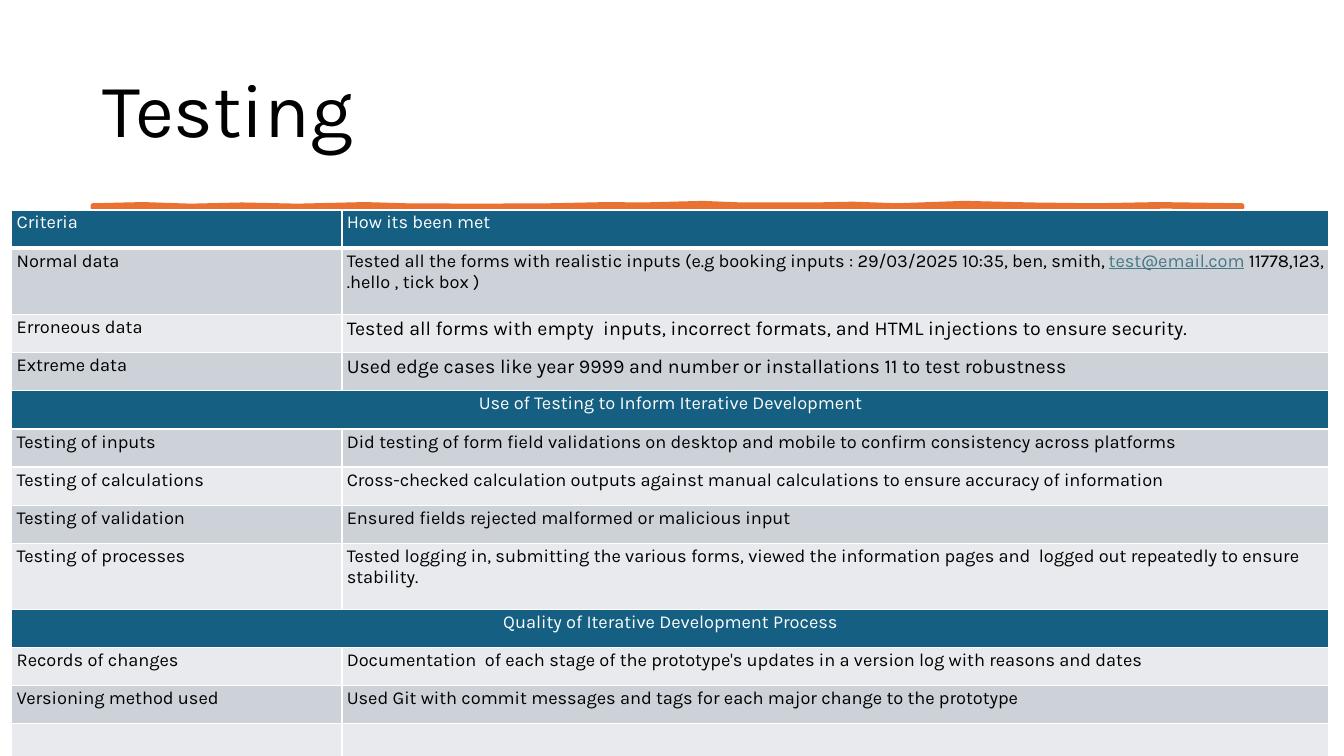
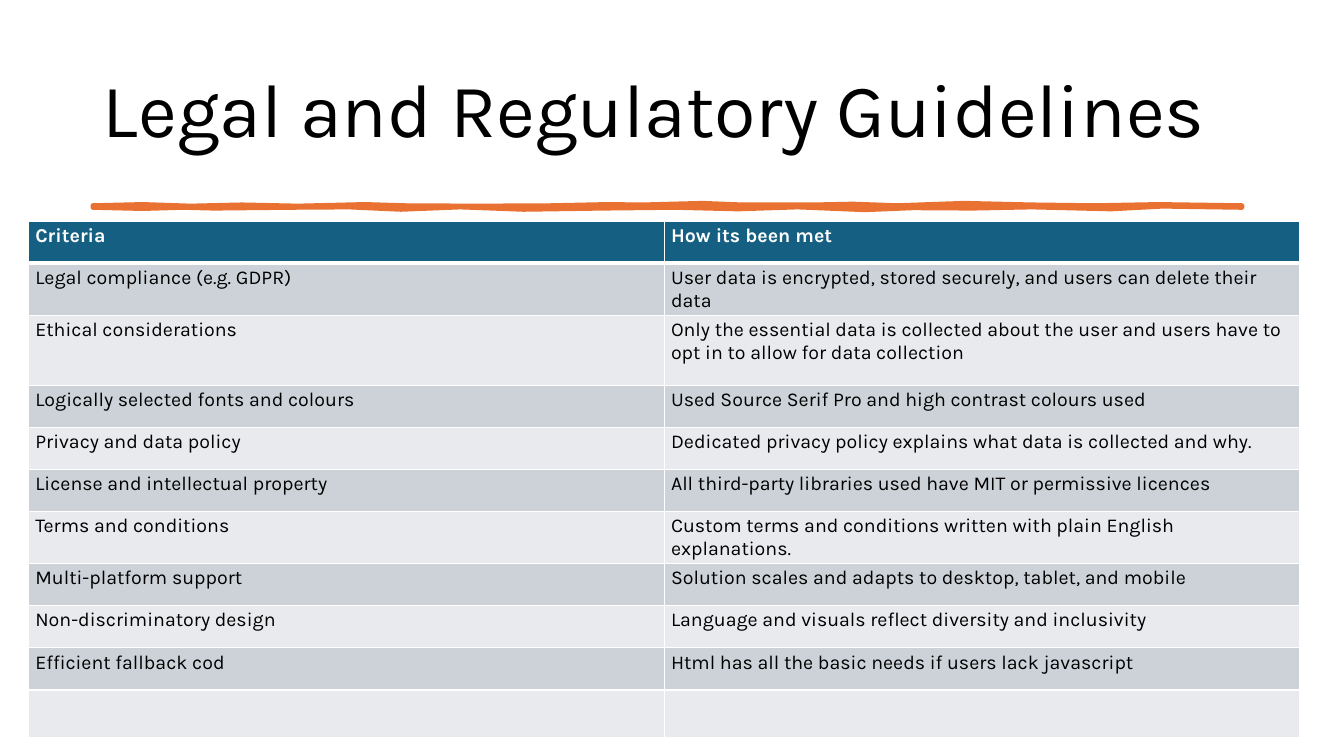
from dataclasses import dataclass

from lxml.etree import SubElement
from pptx import Presentation
from pptx.dml.color import RGBColor
from pptx.enum.text import MSO_ANCHOR, MSO_AUTO_SIZE, PP_ALIGN
from pptx.oxml.ns import qn
from pptx.slide import Slide
from pptx.table import _Cell
from pptx.util import Cm, Pt

FONT = "Karla"
BLACK = RGBColor(0x00, 0x00, 0x00)
WHITE = RGBColor(0xFF, 0xFF, 0xFF)
ORANGE = RGBColor(0xE9, 0x71, 0x32)
TEAL = RGBColor(0x15, 0x60, 0x82)
LINK = RGBColor(0x46, 0x78, 0x86)
BANDS = (RGBColor(0xE8, 0xEA, 0xED), RGBColor(0xCC, 0xD2, 0xD8))

# Edges of the hand-drawn rule under the title, as (x, y) in cm
RULE_TOP = (
    (2.34, 5.18), (3.6, 5.15), (4.8, 5.19), (6.1, 5.16), (7.5, 5.19), (9.2, 5.15),
    (10.2, 5.18), (12.0, 5.19), (13.9, 5.18), (15.3, 5.15), (16.2, 5.16),
    (17.7, 5.12), (18.7, 5.16), (20.5, 5.16), (21.5, 5.14), (22.6, 5.18),
    (24.3, 5.12), (26.0, 5.16), (27.6, 5.18), (29.2, 5.15), (31.3, 5.18),
)
RULE_BOTTOM = (
    (31.3, 5.23), (29.3, 5.2), (28.0, 5.27), (26.0, 5.22), (24.5, 5.25),
    (23.0, 5.24), (21.8, 5.29), (20.1, 5.22), (18.6, 5.27), (17.0, 5.23),
    (15.2, 5.25), (13.2, 5.28), (11.6, 5.22), (10.1, 5.28), (8.8, 5.22),
    (7.3, 5.23), (5.4, 5.25), (4.6, 5.23), (3.6, 5.26), (2.34, 5.23),
)


@dataclass(frozen=True)
class Span:
    text: str
    is_link: bool = False


@dataclass(frozen=True)
class Row:
    """One table row; without an answer the label is a section heading."""

    label: str
    answer: str | tuple[Span, ...] | None = None
    height: float | None = None
    answer_size: int | None = None


@dataclass(frozen=True)
class CriteriaPage:
    title: str
    left: float
    top: float
    columns: tuple[float, float]
    row_height: float
    margins: tuple[float, float]
    text_size: int
    bold_header: bool
    rows: tuple[Row, ...]


HEADER = Row("Criteria", "How its been met")

PAGES = (
    CriteriaPage(
        "Testing", 0.3, 5.29, (8.32, 24.86), 0.96, (0.12, 0.06), 13, False,
        (
            HEADER,
            Row(
                "Normal data",
                (
                    Span("Tested all the forms with realistic inputs (e.g booking inputs : "
                         "29/03/2025 10:35, ben, smith, "),
                    Span("test@email.com", is_link=True),
                    Span(" 11778,123, .hello , tick box )"),
                ),
                height=1.68,
            ),
            Row("Erroneous data",
                "Tested all forms with empty  inputs, incorrect formats, and HTML injections "
                "to ensure security.", answer_size=14),
            Row("Extreme data",
                "Used edge cases like year 9999 and number or installations 11 to test "
                "robustness", answer_size=14),
            Row("Use of Testing to Inform Iterative Development"),
            Row("Testing of inputs",
                "Did testing of form field validations on desktop and mobile to confirm "
                "consistency across platforms"),
            Row("Testing of calculations",
                "Cross-checked calculation outputs against manual calculations to ensure "
                "accuracy of information"),
            Row("Testing of validation", "Ensured fields rejected malformed or malicious input"),
            Row("Testing of processes",
                "Tested logging in, submitting the various forms, viewed the information pages "
                "and  logged out repeatedly to ensure stability.", height=1.66),
            Row("Quality of Iterative Development Process"),
            Row("Records of changes",
                "Documentation  of each stage of the prototype's updates in a version log with "
                "reasons and dates"),
            Row("Versioning method used",
                "Used Git with commit messages and tags for each major change to the prototype"),
            Row("", "", height=1.1),
        ),
    ),
    CriteriaPage(
        "Legal and Regulatory Guidelines", 0.72, 5.57, (16.02, 16.02), 1.06, (0.17, 0.08), 14, True,
        (
            HEADER,
            Row("Legal compliance (e.g. GDPR)",
                "User data is encrypted, stored securely, and users can delete their data"),
            Row("Ethical considerations",
                "Only the essential data is collected about the user and users have to opt in "
                "to allow for data collection", height=1.77),
            Row("Logically selected fonts and colours",
                "Used Source Serif Pro and high contrast colours used"),
            Row("Privacy and data policy",
                "Dedicated privacy policy explains what data is collected and why."),
            Row("License and intellectual property",
                "All third-party libraries used have MIT or permissive licences"),
            Row("Terms and conditions",
                "Custom terms and conditions written with plain English explanations."),
            Row("Multi-platform support",
                "Solution scales and adapts to desktop, tablet, and mobile"),
            Row("Non-discriminatory design",
                "Language and visuals reflect diversity and inclusivity"),
            Row("Efficient fallback cod",
                "Html has all the basic needs if users lack javascript"),
            Row("", "", height=1.2),
        ),
    ),
)


def add_title(slide: Slide, text: str) -> None:
    title = slide.shapes.title
    title.left, title.top, title.width, title.height = Cm(2.34), Cm(1.02), Cm(29.21), Cm(3.68)
    frame = title.text_frame
    frame.text = text
    frame.word_wrap = True
    frame.auto_size = MSO_AUTO_SIZE.NONE
    frame.vertical_anchor = MSO_ANCHOR.MIDDLE
    paragraph = frame.paragraphs[0]
    paragraph.alignment = PP_ALIGN.LEFT
    paragraph.line_spacing = 0.9
    paragraph.font.name = FONT
    paragraph.font.size = Pt(54)
    paragraph.font.color.rgb = BLACK


def add_title_rule(slide: Slide) -> None:
    start, *outline = [(Cm(x), Cm(y)) for x, y in RULE_TOP + RULE_BOTTOM]
    builder = slide.shapes.build_freeform(*start)
    builder.add_line_segments(outline, close=True)
    rule = builder.convert_to_shape()
    rule.shadow.inherit = False
    rule.fill.solid()
    rule.fill.fore_color.rgb = ORANGE
    rule.line.color.rgb = ORANGE
    rule.line.width = Pt(3.25)
    SubElement(rule.line._get_or_add_ln(), qn("a:round"))


def set_borders(cell: _Cell, top: float, bottom: float) -> None:
    """Draw white borders; call before the fill, which must follow them in the XML."""
    properties = cell._tc.get_or_add_tcPr()
    for side, width in (("L", 1), ("R", 1), ("T", top), ("B", bottom)):
        line = SubElement(properties, qn(f"a:ln{side}"), w=str(Pt(width)))
        fill = SubElement(line, qn("a:solidFill"))
        SubElement(fill, qn("a:srgbClr"), val=str(WHITE))


def fill_cell(cell: _Cell, content: str | tuple[Span, ...], size: int, color: RGBColor,
              bold: bool, alignment: PP_ALIGN) -> None:
    paragraph = cell.text_frame.paragraphs[0]
    paragraph.alignment = alignment
    paragraph.font.name = FONT
    paragraph.font.size = Pt(size)
    paragraph.font.bold = bold
    paragraph.font.color.rgb = color
    spans = (Span(content),) if isinstance(content, str) else content
    for span in spans:
        if not span.text:
            continue
        run = paragraph.add_run()
        run.text = span.text
        if span.is_link:
            run.font.underline = True
            run.font.color.rgb = LINK


def add_criteria_table(slide: Slide, page: CriteriaPage) -> None:
    heights = [row.height or page.row_height for row in page.rows]
    table = slide.shapes.add_table(
        len(page.rows), len(page.columns), Cm(page.left), Cm(page.top),
        Cm(sum(page.columns)), Cm(sum(heights)),
    ).table
    table.first_row = table.horz_banding = False
    for column, width in zip(table.columns, page.columns):
        column.width = Cm(width)

    for index, (row, height) in enumerate(zip(page.rows, heights)):
        table.rows[index].height = Cm(height)
        is_header = index == 0
        is_section = row.answer is None
        is_dark = is_header or is_section
        cells = [table.cell(index, column) for column in range(len(page.columns))]
        for cell in cells:
            cell.margin_left = cell.margin_right = Cm(page.margins[0])
            cell.margin_top = cell.margin_bottom = Cm(page.margins[1])
            set_borders(cell, top=3 if index == 1 else 1, bottom=3 if is_header else 1)
            cell.fill.solid()
            cell.fill.fore_color.rgb = TEAL if is_dark else BANDS[index % 2]
        if is_section:
            cells[0].merge(cells[-1])
        contents = (row.label,) if is_section else (row.label, row.answer)
        sizes = (page.text_size, row.answer_size or page.text_size)
        for cell, content, size in zip(cells, contents, sizes):
            fill_cell(cell, content, size, WHITE if is_dark else BLACK,
                      is_header and page.bold_header,
                      PP_ALIGN.CENTER if is_section else PP_ALIGN.LEFT)


def main() -> None:
    deck = Presentation()
    deck.slide_width, deck.slide_height = Cm(33.87), Cm(19.05)
    title_only = deck.slide_layouts[5]
    for page in PAGES:
        slide = deck.slides.add_slide(title_only)
        add_title(slide, page.title)
        add_title_rule(slide)
        add_criteria_table(slide, page)
    deck.save("out.pptx")


if __name__ == "__main__":
    main()
